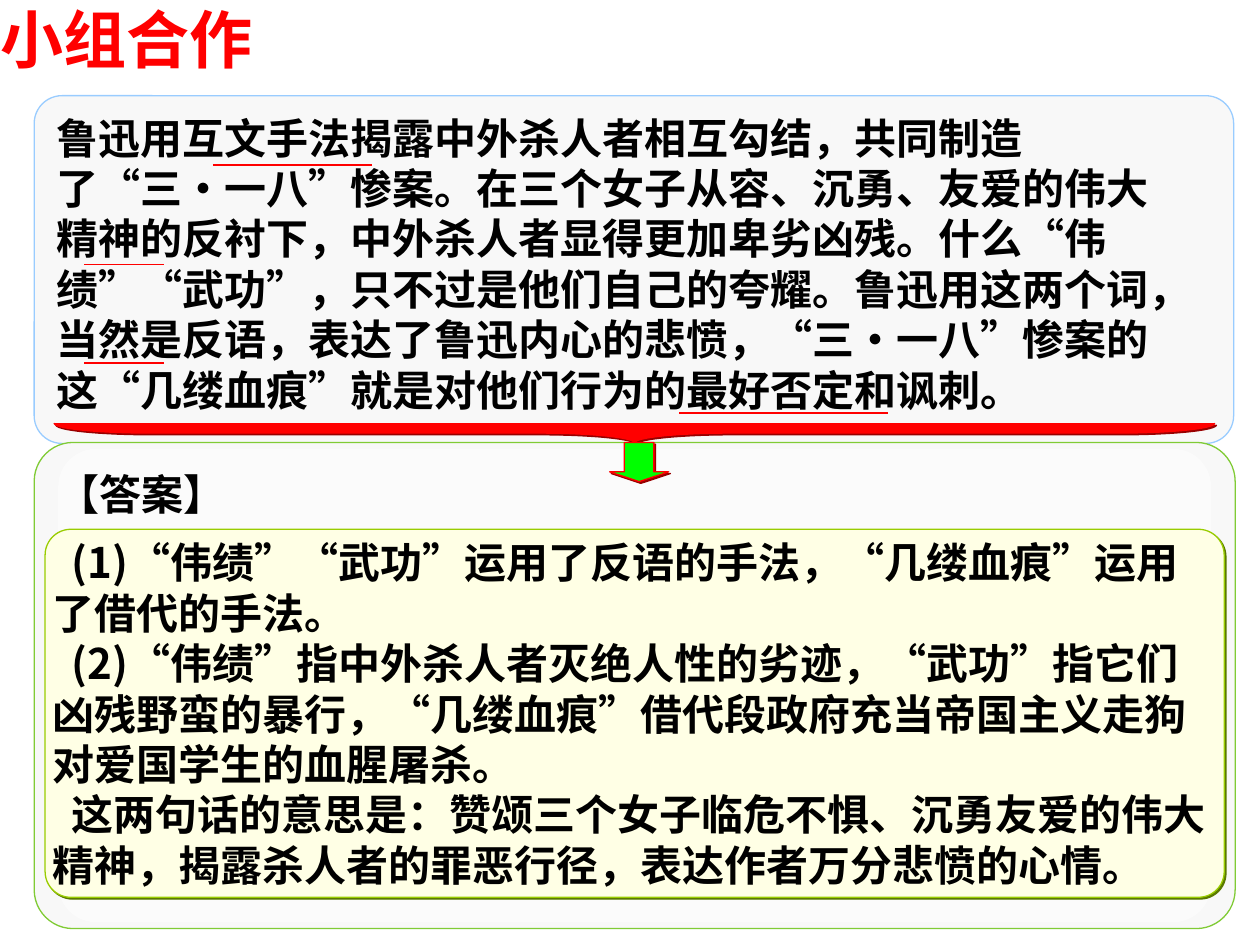
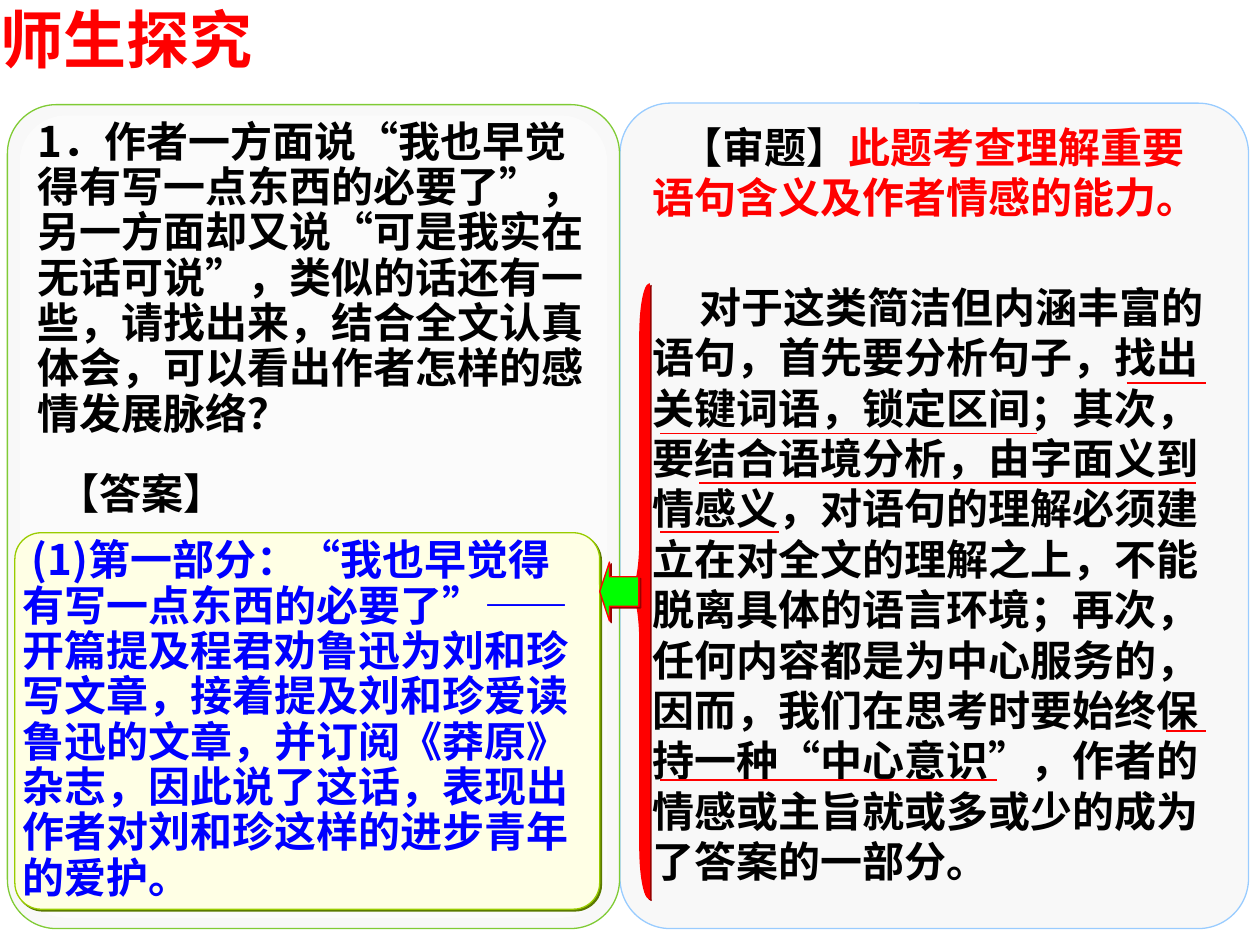
from dataclasses import dataclass

from lxml.etree import SubElement
from pptx import Presentation
from pptx.dml.color import RGBColor
from pptx.enum.lang import MSO_LANGUAGE_ID
from pptx.enum.shapes import MSO_CONNECTOR, MSO_SHAPE
from pptx.enum.text import MSO_ANCHOR, MSO_AUTO_SIZE, PP_ALIGN
from pptx.oxml import parse_xml
from pptx.oxml.ns import nsdecls, qn
from pptx.util import Cm, Pt

COLOURS = {
    "red": "FF0000",
    "dark_red": "980000",
    "green": "00FF00",
    "blue": "0000FF",
    "black": "000000",
    "white": "FFFFFF",
    "panel": "F8F8F8",
    "sky_edge": "99CCFF",
    "leaf_edge": "80CB35",
    "card": "FFFFE5",
    "card_edge": "99CC00",
    "card_shadow": "5B7900",
    "text_shadow": "808080",
}
SANS, HAN = "Arial", "Noto Sans CJK SC"
SPACE = 0.19        # first-line indent step in cm
THICK = 0.4         # depth of a brace in cm


@dataclass
class Box:
    """A region in centimetres."""
    left: float
    top: float
    width: float
    height: float

    def inset(self, left, top, width, height):
        return Box(self.left + left, self.top + top, width, height)

    def lengths(self):
        return Cm(self.left), Cm(self.top), Cm(self.width), Cm(self.height)


def colour(name):
    return RGBColor.from_string(COLOURS[name])


def shadow_effect(name):
    return parse_xml(
        f'<a:effectLst {nsdecls("a")}><a:outerShdw dist="17961" dir="2700000" '
        f'algn="ctr" rotWithShape="0"><a:srgbClr val="{COLOURS[name]}"/>'
        "</a:outerShdw></a:effectLst>"
    )


# Shapes and lines

def add_figure(page, kind, box, fill, edge=None, shadow=None):
    figure = page.shapes.add_shape(kind, *box.lengths())
    figure.shadow.inherit = False
    figure.fill.solid()
    figure.fill.fore_color.rgb = colour(fill)
    if edge:
        figure.line.color.rgb = colour(edge)
        figure.line.width = Pt(0.75)
    else:
        figure.line.fill.background()
    if shadow:
        properties = figure.element.spPr
        properties.replace(properties.find(qn("a:effectLst")), shadow_effect(shadow))
    return figure


def add_panel(page, box, edge, glossy=False):
    panel = add_figure(page, MSO_SHAPE.ROUNDED_RECTANGLE, box, "panel", edge)
    panel.adjustments[0] = 0.08
    if glossy:
        width, height = box.width * 0.96, box.height * 0.974
        inner = box.inset((box.width - width) / 2, (box.height - height) / 2, width, height)
        gloss = add_figure(page, MSO_SHAPE.ROUNDED_RECTANGLE, inner, "white")
        gloss.adjustments[0] = 0.08
        tint = gloss.element.spPr.find(qn("a:solidFill"))[0]
        SubElement(tint, qn("a:alpha")).set("val", "50000")


def add_brace(page, box):
    """A brace whose tip points left when tall and down when wide."""
    wide = box.width > box.height
    upright = box
    if wide:
        shift = (box.width - box.height) / 2
        upright = box.inset(shift, -shift, box.height, box.width)
    brace = add_figure(page, MSO_SHAPE.LEFT_BRACE, upright, "red", "red", "dark_red")
    brace.adjustments[0] = upright.height / 12 / upright.width
    brace.rotation = 270 if wide else 0


def add_arrow(page, kind, box):
    arrow = add_figure(page, kind, box, "green", "red", "dark_red")
    arrow.adjustments[0], arrow.adjustments[1] = 0.5, 0.25


def add_underlines(page, box, places):
    for left, top, length in places:
        start, level = Cm(box.left + left), Cm(box.top + top)
        line = page.shapes.add_connector(
            MSO_CONNECTOR.STRAIGHT, start, level, start + Cm(length), level)
        line.line.color.rgb = colour("red")
        line.line.width = Pt(1)
        SubElement(line.element.spPr, qn("a:effectLst"))


# Text

def add_span(para, text, size=24, tint="black", face=HAN, shadow=True):
    span = para.add_run()
    span.text = text
    font = span.font
    font.size, font.bold, font.name = Pt(size), True, face
    font.color.rgb = colour(tint)
    font.language_id = MSO_LANGUAGE_ID.SIMPLIFIED_CHINESE
    properties = span.font._element
    latin = properties.find(qn("a:latin"))
    han = parse_xml(f'<a:ea {nsdecls("a")} typeface="{HAN}"/>')
    latin.addnext(han)
    if shadow:
        latin.addprevious(shadow_effect("text_shadow"))


def set_frame(frame, margins=(0, 0), anchor=MSO_ANCHOR.TOP, wrap=True):
    frame.margin_left = frame.margin_right = Cm(margins[0])
    frame.margin_top = frame.margin_bottom = Cm(margins[1])
    frame.vertical_anchor = anchor
    frame.word_wrap = wrap
    frame.auto_size = MSO_AUTO_SIZE.SHAPE_TO_FIT_TEXT


def fill_frame(frame, paragraphs, indent=0, spacing=None, **style):
    """Each paragraph is a list of (text, colour) pairs."""
    for number, pieces in enumerate(paragraphs):
        para = frame.add_paragraph() if number else frame.paragraphs[0]
        para.alignment = PP_ALIGN.LEFT
        if spacing:
            para.line_spacing = spacing
        if indent:
            para._p.get_or_add_pPr().set("indent", str(Cm(indent * SPACE)))
        for text, tint in pieces:
            add_span(para, text, tint=tint, **style)


def add_text(page, box, pieces, anchor=MSO_ANCHOR.TOP, wrap=True, **style):
    frame = page.shapes.add_textbox(*box.lengths()).text_frame
    set_frame(frame, (0.25, 0.13), anchor, wrap)
    fill_frame(frame, [pieces], **style)


def add_answer_label(page, box):
    add_text(page, box, [("【答案】", "black")], wrap=False, face=SANS)


def add_answer_card(page, box, texts, tint, **style):
    card = add_figure(page, MSO_SHAPE.ROUNDED_RECTANGLE, box, "card", "card_edge", "card_shadow")
    card.adjustments[0] = 0.07
    set_frame(card.text_frame, anchor=MSO_ANCHOR.MIDDLE)
    fill_frame(card.text_frame, [[(text, tint)] for text in texts], shadow=False, **style)


def add_page(deck, heading):
    page = deck.slides.add_slide(deck.slide_layouts[5])
    title = page.shapes.title
    title.left, title.top, title.width, title.height = Box(0, 0, 8.5, 1.52).lengths()
    set_frame(title.text_frame)
    para = title.text_frame.paragraphs[0]
    para.alignment = PP_ALIGN.LEFT
    add_span(para, heading, 36, "red", SANS)
    return page


# Slide 1: analysis above, answer below

def fill_analysis(page, box):
    add_text(page, box.inset(0.2, 0.2, 23.01, 6.35), [(
        "鲁迅用互文手法揭露中外杀人者相互勾结，共同制造了“三·一八”惨案。"
        "在三个女子从容、沉勇、友爱的伟大精神的反衬下，中外杀人者显得更加卑劣凶残。"
        "什么“伟绩”“武功”，只不过是他们自己的夸耀。鲁迅用这两个词，当然是反语，"
        "表达了鲁迅内心的悲愤，“三·一八”惨案的这“几缕血痕”就是对他们行为的最好否定和讽刺。",
        "black")])
    add_underlines(page, box, [
        (3.6, 1.4, 3.2), (1.01, 3.4, 1.6), (1.01, 5.39, 1.6), (13, 6.4, 4.22)])
    add_brace(page, box.inset(0.4, 6.6, 23.4, THICK))
    add_arrow(page, MSO_SHAPE.DOWN_ARROW, box.inset(11.6, 6.99, 1.19, 0.79))


def fill_answer(page, box):
    add_answer_card(page, box.inset(0.22, 1.75, 23.77, 7.42), [
        "(1)“伟绩”“武功”运用了反语的手法，“几缕血痕”运用了借代的手法。",
        "(2)“伟绩”指中外杀人者灭绝人性的劣迹，“武功”指它们凶残野蛮的暴行，"
        "“几缕血痕”借代段政府充当帝国主义走狗对爱国学生的血腥屠杀。",
        "这两句话的意思是：赞颂三个女子临危不惧、沉勇友爱的伟大精神，"
        "揭露杀人者的罪恶行径，表达作者万分悲愤的心情。",
    ], "black", indent=2)
    add_answer_label(page, box.inset(0.22, 0.4, 3.89, 1.27))


def build_group_work(deck):
    page = add_page(deck, "小组合作")
    analysis, answer = Box(0.69, 1.93, 24.18, 7.01), Box(0.69, 8.92, 24.21, 9.8)
    add_panel(page, analysis, "sky_edge")
    add_panel(page, answer, "leaf_edge", glossy=True)
    fill_answer(page, answer)
    fill_analysis(page, analysis)


# Slide 2: question and answer on the left, guidance on the right

def fill_question(page, box):
    add_text(page, box.inset(0.36, 0.2, 11.81, 6.65), [(
        "1．作者一方面说“我也早觉得有写一点东西的必要了”，另一方面却又说“可是我实在无话可说”，"
        "类似的话还有一些，请找出来，结合全文认真体会，可以看出作者怎样的感情发展脉络？",
        "black")], anchor=MSO_ANCHOR.MIDDLE, spacing=0.9)
    add_answer_card(page, box.inset(0.15, 8.63, 11.79, 7.59), [
        "(1)第一部分：“我也早觉得有写一点东西的必要了”——开篇提及程君劝鲁迅为刘和珍写文章，"
        "接着提及刘和珍爱读鲁迅的文章，并订阅《莽原》杂志，因此说了这话，"
        "表现出作者对刘和珍这样的进步青年的爱护。",
    ], "blue", indent=1, spacing=0.9)
    add_answer_label(page, box.inset(0.76, 7.19, 3.89, 1.27))


def fill_guidance(page, box):
    add_text(page, box.inset(0.4, 0.23, 11.81, 2.29), [
        ("【审题】", "black"),
        ("此题考查理解重要语句含义及作者情感的能力。", "red"),
    ], indent=3, face=SANS)
    add_text(page, box.inset(0.4, 3.46, 12.01, 12.45), [(
        "对于这类简洁但内涵丰富的语句，首先要分析句子，找出关键词语，锁定区间；"
        "其次，要结合语境分析，由字面义到情感义，对语句的理解必须建立在对全文的理解之上，"
        "不能脱离具体的语言环境；再次，任何内容都是为中心服务的，因而，"
        "我们在思考时要始终保持一种“中心意识”，作者的情感或主旨就或多或少的成为了答案的一部分。",
        "black")], indent=5, face=SANS)
    add_underlines(page, box, [
        (10.21, 5.64, 1.6), (0.81, 6.66, 7.6), (1.6, 7.65, 10),
        (0.81, 8.64, 2.39), (11, 12.65, 0.81), (0.81, 13.64, 6.78)])
    add_brace(page, box.inset(0.2, 3.64, THICK, 12.4))
    add_arrow(page, MSO_SHAPE.LEFT_ARROW, box.inset(-0.41, 9.25, 0.79, 1.19))


def build_inquiry(deck):
    page = add_page(deck, "师生探究")
    guidance, question = Box(12.5, 2.08, 12.67, 16.64), Box(0.15, 2.11, 12.34, 16.61)
    add_panel(page, guidance, "sky_edge")
    add_panel(page, question, "leaf_edge", glossy=True)
    fill_question(page, question)
    fill_guidance(page, guidance)


def main():
    deck = Presentation()
    deck.slide_width, deck.slide_height = Cm(25.4), Cm(19.05)
    build_group_work(deck)
    build_inquiry(deck)
    deck.save("out.pptx")


if __name__ == "__main__":
    main()
